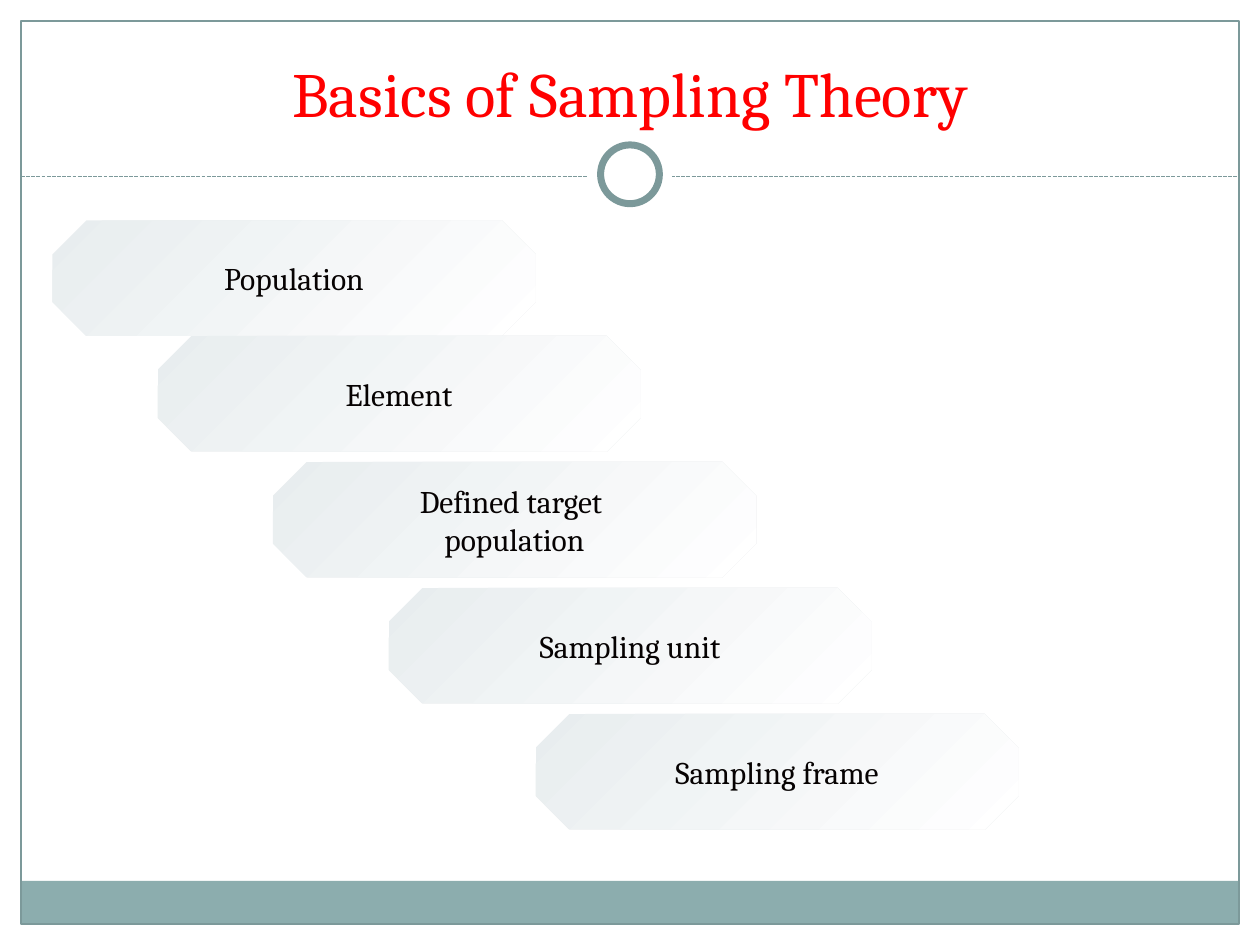
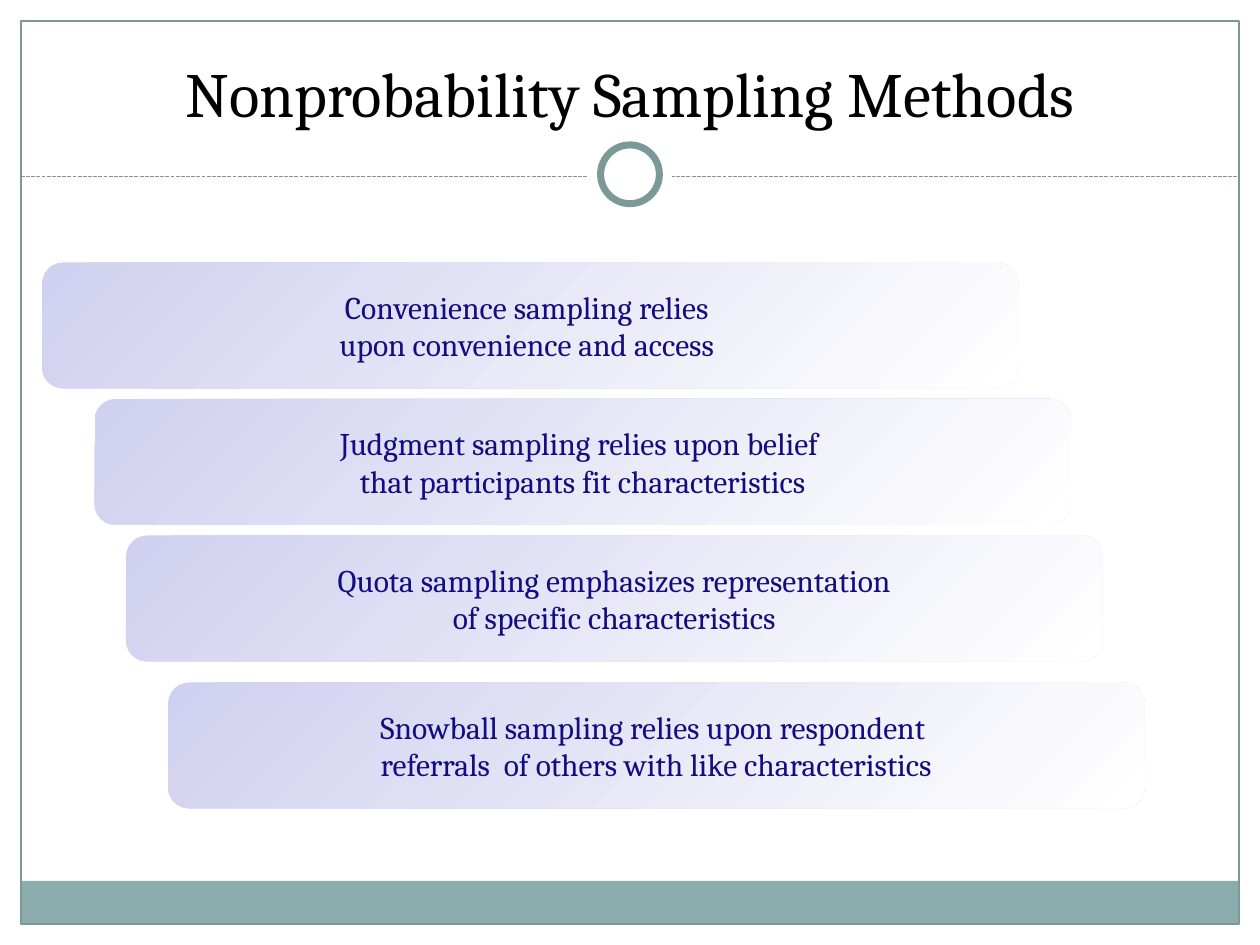
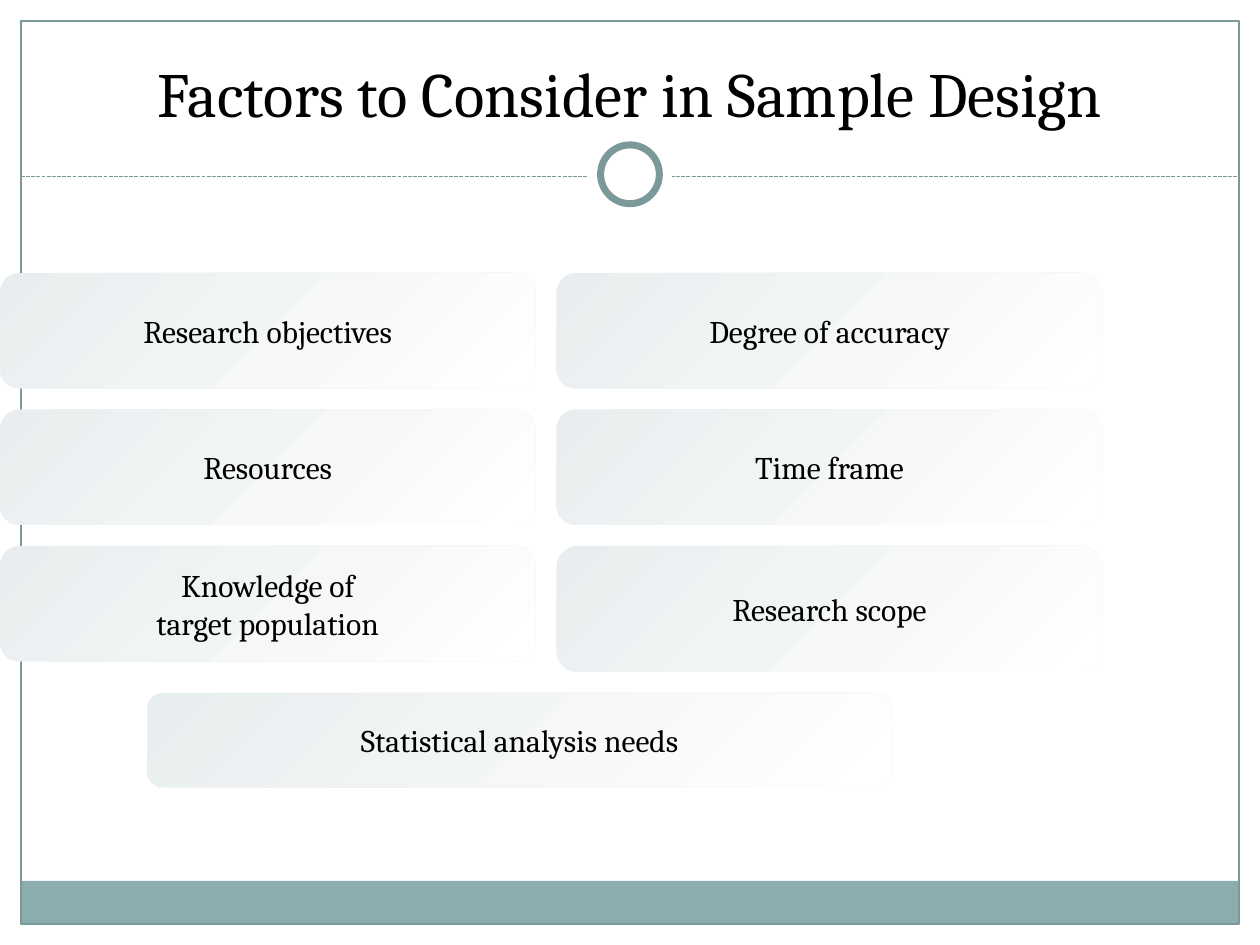
from dataclasses import dataclass

from pptx import Presentation
from pptx.dml.color import RGBColor
from pptx.enum.dml import MSO_LINE
from pptx.enum.shapes import MSO_CONNECTOR, MSO_SHAPE
from pptx.enum.text import MSO_ANCHOR, MSO_AUTO_SIZE, PP_ALIGN
from pptx.oxml.xmlchemy import OxmlElement
from pptx.util import Inches, Pt

COLS, ROWS = 120, 90


@dataclass(frozen=True)
class Theme:
    font: str = "Cambria"
    head: int = 36
    body: int = 18
    white: str = "FFFFFF"
    black: str = "000000"
    ink: str = "060202"
    red: str = "FF0000"
    navy: str = "140C80"
    mist: str = "E8EDEF"
    lilac: str = "D0D0F0"
    band: str = "8CADAE"
    edge: str = "7C999A"


def color(code):
    return RGBColor.from_string(code)


def write(frame, text, *, font, size, tint, anchor=MSO_ANCHOR.MIDDLE, wrap=False):
    frame.text = text
    frame.auto_size = MSO_AUTO_SIZE.NONE
    frame.word_wrap = wrap
    frame.vertical_anchor = anchor
    for para in frame.paragraphs:
        para.alignment = PP_ALIGN.CENTER
        for run in para.runs:
            run.font.name = font
            run.font.size = Pt(size)
            run.font.color.rgb = color(tint)


class Deck:
    def __init__(self, theme):
        self.theme = theme
        self.file = Presentation()
        self.file.slide_width, self.file.slide_height = Inches(10), Inches(7.5)
        self.layout = self.file.slide_layouts[5]
        title = self.layout.placeholders[0]
        title.left, title.top, title.width, title.height = self.place(4, 3, 112, 10)
        self.slide = None

    def place(self, x, y, w, h):
        dx, dy = self.file.slide_width / COLS, self.file.slide_height / ROWS
        return round(x * dx), round(y * dy), round(w * dx), round(h * dy)

    def page(self, text, tint):
        first = self.slide is None
        self.slide = self.file.slides.add_slide(self.layout)
        if first:
            self.frame()
        write(self.slide.shapes.title.text_frame, text, font=self.theme.font,
              size=self.theme.head, tint=tint, anchor=MSO_ANCHOR.BOTTOM, wrap=True)

    def shape(self, kind, area, fill=None, line=None, width=0.75):
        item = self.slide.shapes.add_shape(kind, *self.place(*area))
        item.shadow.inherit = False
        if fill:
            item.fill.solid()
            item.fill.fore_color.rgb = color(fill)
        else:
            item.fill.background()
        if line:
            item.line.color.rgb = color(line)
            item.line.width = Pt(width)
        else:
            item.line.fill.background()
        return item

    def rule(self, x, y, w):
        left, top, wide, _ = self.place(x, y, w, 0)
        item = self.slide.shapes.add_connector(
            MSO_CONNECTOR.STRAIGHT, left, top, left + wide, top)
        item.line.color.rgb = color(self.theme.edge)
        item.line.width = Pt(0.75)
        item.line.dash_style = MSO_LINE.SQUARE_DOT
        item.element.spPr.append(OxmlElement("a:effectLst"))
        return item

    def frame(self):
        look = self.theme
        rect, oval = MSO_SHAPE.RECTANGLE, MSO_SHAPE.OVAL
        edges = [(0, 0, COLS, 18.2), (0, 0, 2, ROWS), (118, 0, 2, ROWS)]
        parts = [self.shape(rect, area, look.white) for area in edges]
        parts += [
            self.shape(rect, (2, 83.9, 116, 4.1), look.band),
            self.shape(rect, (2, 2, 116, 86), line=look.edge),
            self.rule(2, 16.8, 116),
            self.shape(oval, (56, 12.6, 8, 8), look.white),
            self.shape(oval, (57.2, 13.8, 5.6, 5.6), look.white, look.edge, 4),
        ]
        for part in parts:
            self.layout.shapes.element.append(part.element)

    def card(self, text, area, fill, tint, kind=MSO_SHAPE.ROUNDED_RECTANGLE, cut=0.167):
        item = self.shape(kind, area)
        item.adjustments[0] = cut
        item.fill.gradient()
        item.fill.gradient_angle = 315
        for stop, code in zip(item.fill.gradient_stops, (fill, self.theme.white)):
            stop.color.rgb = color(code)
        write(item.text_frame, text, font=self.theme.font,
              size=self.theme.body, tint=tint)


def basics(deck):
    look = deck.theme
    deck.page("Basics of Sampling Theory", look.red)
    steps = [
        ("Population", 5, 21),
        ("Element", 15, 32),
        ("Defined target \npopulation", 26, 44),
        ("Sampling unit", 37, 56),
        ("Sampling frame", 51, 68),
    ]
    for text, x, y in steps:
        deck.card(text, (x, y, 46, 11), look.mist, look.ink, MSO_SHAPE.OCTAGON, 0.293)


def methods(deck):
    look = deck.theme
    deck.page("Nonprobability Sampling Methods", look.black)
    kinds = [
        ("Convenience sampling relies \nupon convenience and access ", 4, 25),
        ("Judgment sampling relies upon belief \nthat participants fit characteristics", 9, 38),
        ("Quota sampling emphasizes representation\nof specific characteristics", 12, 51),
        ("Snowball sampling relies upon respondent \n"
         "referrals  of others with like characteristics", 16, 65),
    ]
    for text, x, y in kinds:
        deck.card(text, (x, y, 93, 12), look.lilac, look.navy)


def factors(deck):
    look = deck.theme
    deck.page("Factors to Consider in Sample Design", look.black)
    pairs = [
        ("Research objectives", "Degree of accuracy", 11),
        ("Resources", "Time frame", 11),
        ("Knowledge of\ntarget population", "Research scope", 12),
    ]
    for row, (left, right, high) in enumerate(pairs):
        y = 26 + 13 * row
        deck.card(left, (0, y, 51, 11), look.mist, look.black)
        deck.card(right, (53, y, 52, high), look.mist, look.black)
    deck.card("Statistical analysis needs", (14, 66, 71, 9), look.mist, look.black)


def main():
    deck = Deck(Theme())
    for build in (basics, methods, factors):
        build(deck)
    deck.file.save("out.pptx")


if __name__ == "__main__":
    main()
